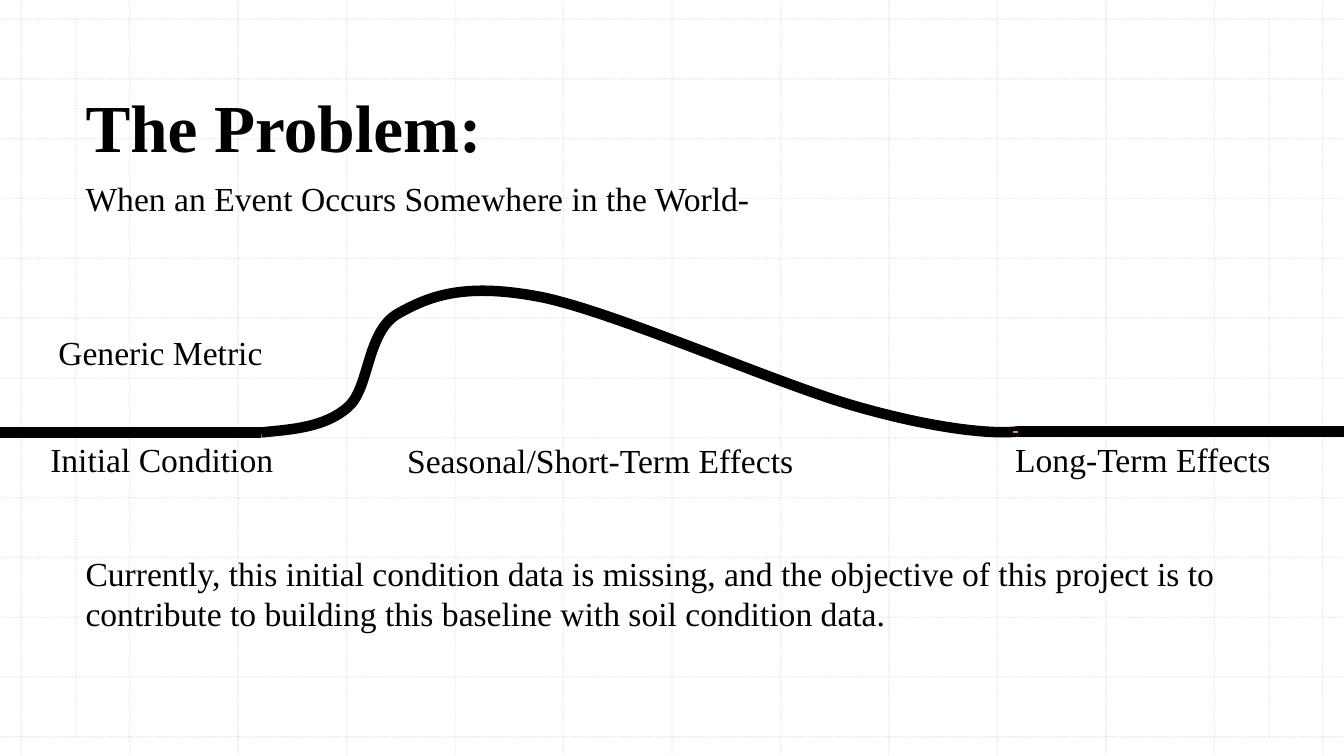
from dataclasses import dataclass
from itertools import chain

from lxml.etree import SubElement
from pptx import Presentation
from pptx.dml.color import RGBColor
from pptx.enum.dml import MSO_LINE
from pptx.enum.shapes import MSO_CONNECTOR
from pptx.enum.text import MSO_ANCHOR, MSO_AUTO_SIZE
from pptx.oxml.ns import qn
from pptx.util import Inches, Pt


@dataclass(frozen=True)
class Theme:
    font: str = "Times New Roman"
    ink: RGBColor = RGBColor(0x00, 0x00, 0x00)
    paper: RGBColor = RGBColor(0xFF, 0xFF, 0xFF)
    grid: RGBColor = RGBColor(0xBC, 0xBC, 0xBC)
    tick: RGBColor = RGBColor(0xD5, 0x91, 0x64)
    title_size: int = 48
    body_size: int = 24
    grid_weight: float = 1
    curve_weight: float = 7.5
    tick_weight: float = 7.25


THEME = Theme()
SLIDE_WIDTH, SLIDE_HEIGHT = 13.33, 7.5


def add_text(slide, text, box, size=THEME.body_size, bold=False):
    left, top, width, height = map(Inches, box)
    frame = slide.shapes.add_textbox(left, top, width, height).text_frame
    frame.word_wrap = True
    frame.auto_size = MSO_AUTO_SIZE.SHAPE_TO_FIT_TEXT
    frame.vertical_anchor = MSO_ANCHOR.MIDDLE
    run = frame.paragraphs[0].add_run()
    run.text = text
    run.font.name = THEME.font
    run.font.size = Pt(size)
    run.font.bold = bold
    run.font.color.rgb = THEME.ink


def add_line(slide, start, end, color, weight):
    line = slide.shapes.add_connector(
        MSO_CONNECTOR.STRAIGHT, *map(Inches, (*start, *end)))
    line.line.color.rgb = color
    line.line.width = Pt(weight)
    SubElement(line._element.spPr, qn("a:effectLst"))
    return line


def add_grid(slide, box, steps=12):
    """Draw faint dotted lines across the slide, spaced evenly within the box."""
    left, top, width, height = box
    columns = [left + width * i / steps for i in range(steps + 1)]
    rows = [top + height * i / steps for i in range(steps + 1)]
    margins = (0.75, 12.59)
    ends = chain(
        (((x, 0), (x, SLIDE_HEIGHT)) for x in columns),
        (((0, y), (SLIDE_WIDTH, y)) for y in rows),
        (((x, top), (x, top + height)) for x in margins),
    )
    for start, end in ends:
        line = add_line(slide, start, end, THEME.grid, THEME.grid_weight)
        line.line.dash_style = MSO_LINE.ROUND_DOT
        color = line._element.spPr.find(".//" + qn("a:srgbClr"))
        SubElement(color, qn("a:alpha"), val="30000")


def add_curve(slide, start, controls):
    """Draw an open Bezier curve; every three control points form one segment."""
    builder = slide.shapes.build_freeform(
        *map(Inches, start), scale=1.0)
    builder.add_line_segments(
        [(Inches(x), Inches(y)) for x, y in controls], close=False)
    curve = builder.convert_to_shape()
    curve.shadow.inherit = False
    curve.fill.background()
    curve.line.color.rgb = THEME.ink
    curve.line.width = Pt(THEME.curve_weight)
    outline = curve._element.spPr.find(".//" + qn("a:path"))
    segments = outline.findall(qn("a:lnTo"))
    for first in range(0, len(segments), 3):
        bezier = SubElement(outline, qn("a:cubicBezTo"))
        for segment in segments[first:first + 3]:
            bezier.append(segment[0])
            outline.remove(segment)


def add_heading(slide, box):
    left, top, width, height = box
    add_text(slide, "The Problem:", (left, top, width, 0.91),
             size=THEME.title_size, bold=True)
    add_text(slide, "When an Event Occurs Somewhere in the World-",
             (left, top + height - 0.5, 7.02, 0.5))


def add_event_timeline(slide, box):
    """Draw the metric before, during and after an event, with its labels."""
    left, top, width, height = box
    baseline = top + height
    event_start = (left + 2.59, baseline)
    event_end = (left + 10.1, baseline - 0.01)
    rise_and_decay = [
        (2.9, 1.37), (3.22, 1.35), (3.45, 1.15),
        (3.67, 0.96), (3.63, 0.4), (3.95, 0.22),
        (4.27, 0.04), (4.62, -0.09), (5.38, 0.06),
        (6.14, 0.22), (7.73, 0.93), (8.52, 1.15),
        (9.3, 1.37), (9.85, 1.42), (10.1, 1.39),
    ]
    add_line(slide, (left, baseline), event_start, THEME.ink, THEME.curve_weight)
    add_curve(slide, event_start,
              [(left + x, top + y) for x, y in rise_and_decay])
    add_line(slide, event_end, (event_end[0], baseline + 0.01),
             THEME.tick, THEME.tick_weight)
    add_line(slide, event_end, (left + width, event_end[1]),
             THEME.ink, THEME.curve_weight)

    labels = [
        ("Seasonal/Short-Term Effects", 3.94, 1.42, 6.58),
        ("Long-Term Effects", 9.97, 1.41, 4.63),
        ("Initial Condition", 0.4, 1.41, 2.88),
        ("Generic Metric", 0.48, 0.35, 3.46),
    ]
    for text, x, y, label_width in labels:
        add_text(slide, text, (left + x, top + y, label_width, 0.5))


def add_conclusion(slide, box):
    add_text(slide, "Currently, this initial condition data is missing, and the "
             "objective of this project is to contribute to building this "
             "baseline with soil condition data.", box)


def main():
    deck = Presentation()
    deck.slide_width = Inches(SLIDE_WIDTH)
    deck.slide_height = Inches(SLIDE_HEIGHT)
    slide = deck.slides.add_slide(deck.slide_layouts[6])
    slide.background.fill.solid()
    slide.background.fill.fore_color.rgb = THEME.paper
    add_grid(slide, (0.21, 0.19, 12.91, 7.12))
    add_heading(slide, (0.75, 0.79, 10.19, 1.43))
    add_event_timeline(slide, (0, 2.89, 13.49, 1.4))
    add_conclusion(slide, (0.75, 5.43, 11.83, 0.91))
    deck.save("out.pptx")


if __name__ == "__main__":
    main()
